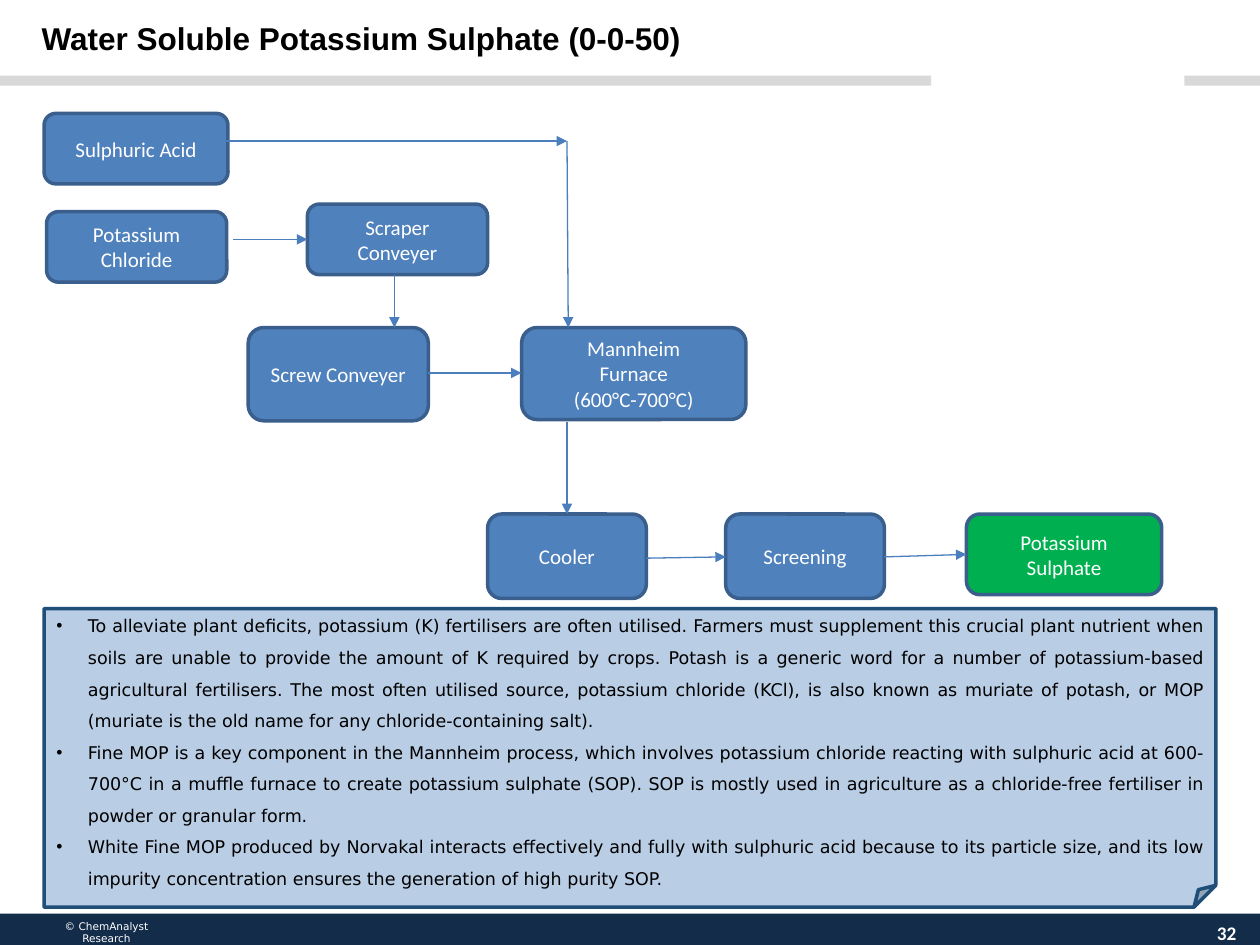
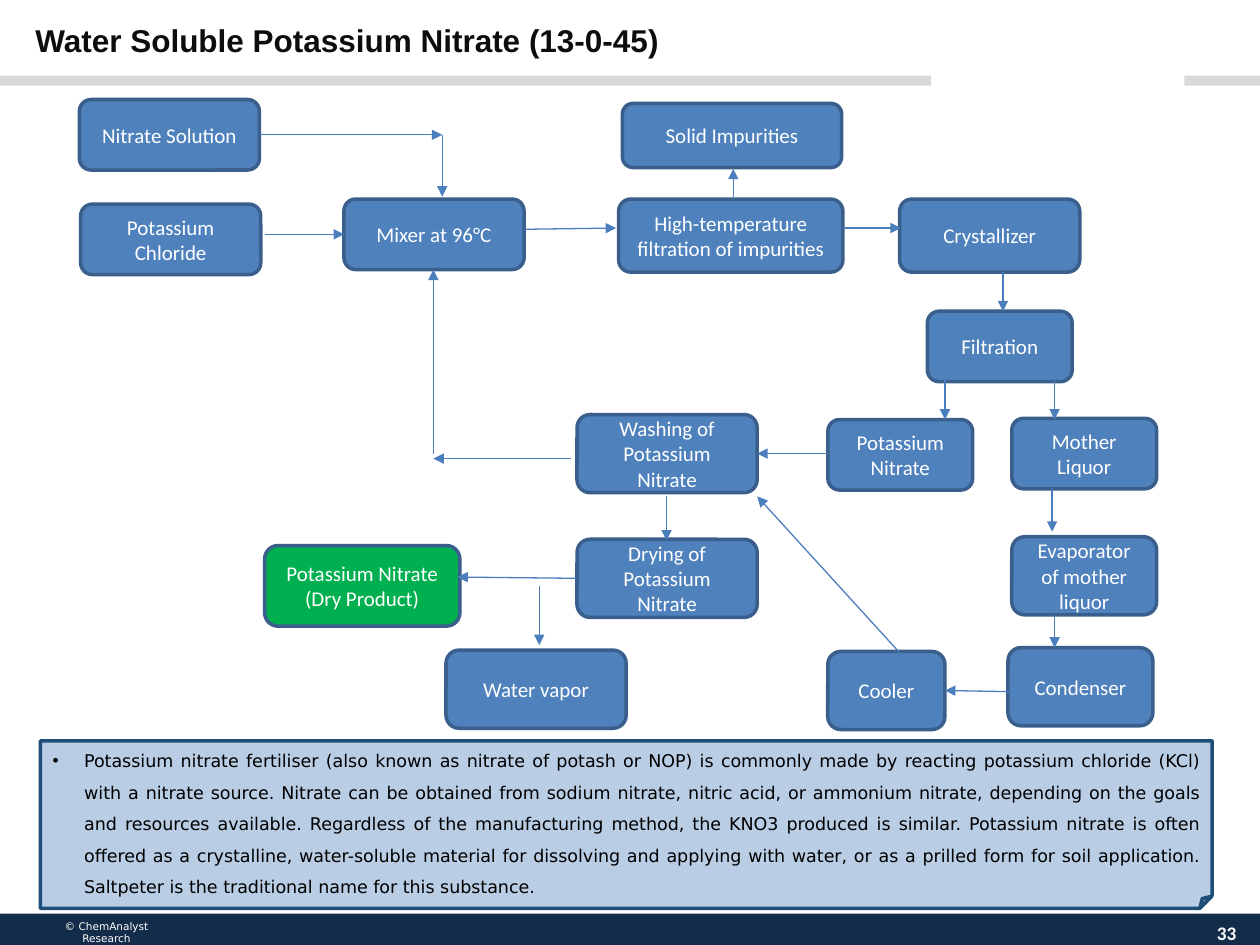
from dataclasses import dataclass

import pptx
import pptx.dml.color
import pptx.enum.shapes
import pptx.enum.text
import pptx.oxml.ns
import pptx.util
from lxml import etree

PX = 9144  # EMU in one px, 100 px to the inch
SHAPE = pptx.enum.shapes.MSO_SHAPE
ALIGN = pptx.enum.text.PP_ALIGN
ANCHOR = pptx.enum.text.MSO_ANCHOR
qn = pptx.oxml.ns.qn


@dataclass(frozen=True)
class Theme:
    band: str = "D9D9D9"
    footer: str = "132C4A"
    step: str = "4F81BD"
    step_line: str = "3A5F8C"
    product: str = "00B050"
    arrow: str = "4B7EBC"
    note: str = "B9CDE5"
    note_line: str = "1F4E79"
    white: str = "FFFFFF"
    black: str = "000000"
    title_font: str = "Arial"
    step_font: str = "Calibri"
    body_font: str = "DejaVu Sans"
    title_size: int = 18
    step_size: int = 12
    number_size: int = 11
    note_size: int = 10
    footer_size: int = 6


theme = Theme()
rgb = pptx.dml.color.RGBColor.from_string


def add_block(page, kind, at, fill, line=None):
    """Add a flat preset shape; without a line colour it has no outline."""
    block = page.shapes.add_shape(kind, *[length * PX for length in at])
    block.shadow.inherit = False
    block.fill.solid()
    block.fill.fore_color.rgb = rgb(fill)
    if line:
        block.line.color.rgb = rgb(line)
        block.line.width = pptx.util.Pt(2)
    else:
        block.line.fill.background()
    return block


def write_text(box, text, font, size, color, bold=False, align=ALIGN.CENTER,
               anchor=ANCHOR.MIDDLE, inset=True):
    frame = box.text_frame
    frame.text = text
    frame.word_wrap = True
    frame.auto_size = pptx.enum.text.MSO_AUTO_SIZE.NONE
    frame.vertical_anchor = anchor
    if not inset:
        frame.margin_left = frame.margin_right = 0
        frame.margin_top = frame.margin_bottom = 0
    for paragraph in frame.paragraphs:
        paragraph.alignment = align
        for span in paragraph.runs:
            span.font.name = font
            span.font.size = pptx.util.Pt(size)
            span.font.bold = bold
            span.font.color.rgb = rgb(color)


# Steps are (text, left, top, width, height); arrows are (x1, y1, x2, y2).
processes = [
    {
        "title": "Water Soluble Potassium Sulphate (0-0-50)",
        "title_at": (33, 15),
        "title_color": "000000",
        "number": "32",
        "steps": [
            ("Sulphuric Acid", 35, 90, 146, 56),
            ("Potassium Chloride", 37, 168, 143, 56),
            ("Scraper Conveyer", 244, 162, 143, 56),
            ("Screw Conveyer", 197, 260, 143, 74),
            ("Mannheim\nFurnace (600°C-700°C)", 414, 260, 178, 73),
            ("Cooler", 387, 408, 126, 67),
            ("Screening", 576, 408, 126, 67),
        ],
        "product": ("Potassium Sulphate", 767, 408, 155, 64),
        "arrows": [
            (185, 190, 244, 190),
            (178, 112, 450, 112),
            (450, 112, 451, 260),
            (313, 218, 313, 260),
            (340, 296, 414, 296),
            (450, 335, 450, 408),
            (513, 443, 576, 442),
            (702, 442, 767, 440),
        ],
        "note_at": (35, 483, 930, 237),
        "note": [
            "To alleviate plant deficits, potassium (K) fertilisers are often utilised. "
            "Farmers must supplement this crucial plant nutrient when soils are unable to "
            "provide the amount of K required by crops. Potash is a generic word for a "
            "number of potassium-based agricultural fertilisers. The most often utilised "
            "source, potassium chloride (KCl), is also known as muriate of potash, or MOP "
            "(muriate is the old name for any chloride-containing salt).",
            "Fine MOP is a key component in the Mannheim process, which involves potassium "
            "chloride reacting with sulphuric acid at 600-700°C in a muffle furnace to "
            "create potassium sulphate (SOP). SOP is mostly used in agriculture as a "
            "chloride-free fertiliser in powder or granular form.",
            "White Fine MOP produced by Norvakal interacts effectively and fully with "
            "sulphuric acid because to its particle size, and its low impurity "
            "concentration ensures the generation of high purity SOP.",
        ],
    },
    {
        "title": "Water Soluble Potassium Nitrate (13-0-45)",
        "title_at": (28, 17),
        "title_color": "0D0D0D",
        "number": "33",
        "steps": [
            ("Nitrate Solution", 63, 79, 143, 56),
            ("Potassium Chloride", 64, 162, 143, 56),
            ("Mixer at 96°C", 273, 158, 143, 56),
            ("High-temperature filtration of impurities", 491, 158, 178, 58),
            ("Solid Impurities", 494, 82, 174, 51),
            ("Crystallizer", 714, 158, 143, 58),
            ("Filtration", 736, 247, 115, 56),
            ("Potassium Nitrate", 657, 333, 115, 56),
            ("Mother Liquor", 803, 332, 115, 56),
            ("Evaporator of mother liquor", 803, 426, 115, 62),
            ("Condenser", 800, 514, 115, 62),
            ("Cooler", 657, 517, 93, 62),
            ("Washing of Potassium Nitrate", 458, 329, 143, 62),
            ("Drying of Potassium Nitrate", 458, 428, 143, 62),
            ("Water vapor", 354, 516, 143, 62),
        ],
        "product": ("Potassium Nitrate\n(Dry Product)", 210, 433, 155, 64),
        "arrows": [
            (210, 186, 273, 186),
            (207, 107, 351, 107),
            (351, 107, 351, 156),
            (416, 182, 489, 181),
            (582, 156, 582, 134),
            (669, 181, 715, 181),
            (796, 216, 796, 247),
            (750, 302, 750, 333),
            (837, 302, 837, 333),
            (657, 360, 601, 360),
            (453, 364, 344, 364),
            (344, 360, 344, 214),
            (835, 388, 835, 422),
            (837, 488, 837, 514),
            (804, 549, 750, 548),
            (714, 518, 601, 394),
            (529, 394, 529, 429),
            (458, 459, 363, 458),
            (428, 465, 428, 512),
        ],
        "note_at": (32, 588, 930, 133),
        "note": [
            "Potassium nitrate fertiliser (also known as nitrate of potash or NOP) is "
            "commonly made by reacting potassium chloride (KCl) with a nitrate source. "
            "Nitrate can be obtained from sodium nitrate, nitric acid, or ammonium nitrate, "
            "depending on the goals and resources available. Regardless of the "
            "manufacturing method, the KNO3 produced is similar. Potassium nitrate is often "
            "offered as a crystalline, water-soluble material for dissolving and applying "
            "with water, or as a prilled form for soil application. Saltpeter is the "
            "traditional name for this substance.",
        ],
    },
]

deck = pptx.Presentation()
deck.slide_width = 1000 * PX
deck.slide_height = 750 * PX
title_only = deck.slide_layouts[5]

for process in processes:
    page = deck.slides.add_slide(title_only)

    # Bands, footer and page number
    for band_at in [(0, 60, 739, 8), (940, 60, 60, 8)]:
        add_block(page, SHAPE.RECTANGLE, band_at, theme.band)
    add_block(page, SHAPE.RECTANGLE, (0, 725, 1000, 25), theme.footer)
    footer = page.shapes.add_textbox(50 * PX, 730 * PX, 69 * PX, 20 * PX)
    write_text(footer, "© ChemAnalyst\nResearch", theme.body_font, theme.footer_size,
               theme.white, anchor=ANCHOR.TOP, inset=False)
    number = page.shapes.add_textbox(949 * PX, 730 * PX, 49 * PX, 20 * PX)
    write_text(number, process["number"], theme.step_font, theme.number_size,
               theme.white, bold=True, inset=False)

    # Title
    title = page.shapes.title
    title.left, title.top = [length * PX for length in process["title_at"]]
    title.width, title.height = 860 * PX, 30 * PX
    write_text(title, process["title"], theme.title_font, theme.title_size,
               process["title_color"], bold=True, align=ALIGN.LEFT,
               anchor=ANCHOR.TOP, inset=False)

    # Process steps, the last one being the product
    for step in process["steps"] + [process["product"]]:
        fill = theme.product if step is process["product"] else theme.step
        box = add_block(page, SHAPE.ROUNDED_RECTANGLE, step[1:], fill, theme.step_line)
        write_text(box, step[0], theme.step_font, theme.step_size, theme.white)

    # Flow arrows
    for ends in process["arrows"]:
        arrow = page.shapes.add_connector(
            pptx.enum.shapes.MSO_CONNECTOR.STRAIGHT, *[length * PX for length in ends])
        arrow.line.color.rgb = rgb(theme.arrow)
        arrow.line.width = pptx.util.Pt(0.75)
        etree.SubElement(arrow.line._get_or_add_ln(), qn("a:tailEnd"), type="triangle")
        etree.SubElement(arrow._element.spPr, qn("a:effectLst"))

    # Explanatory note with a small folded corner
    note = add_block(page, SHAPE.FOLDED_CORNER, process["note_at"], theme.note,
                     theme.note_line)
    fold = note._element.spPr.find(qn("a:prstGeom")).find(qn("a:avLst"))
    etree.SubElement(fold, qn("a:gd"), name="adj", fmla="val 7300")
    write_text(note, "\n".join(process["note"]), theme.body_font, theme.note_size,
               theme.black, align=ALIGN.JUSTIFY)
    for paragraph in note.text_frame.paragraphs:
        properties = paragraph._p.get_or_add_pPr()
        properties.set("marL", str(25 * PX))
        properties.set("indent", str(-25 * PX))
        etree.SubElement(properties, qn("a:buFont"), typeface="Arial")
        etree.SubElement(properties, qn("a:buChar"), char="•")
        paragraph.line_spacing = 1.5

deck.save("out.pptx")
